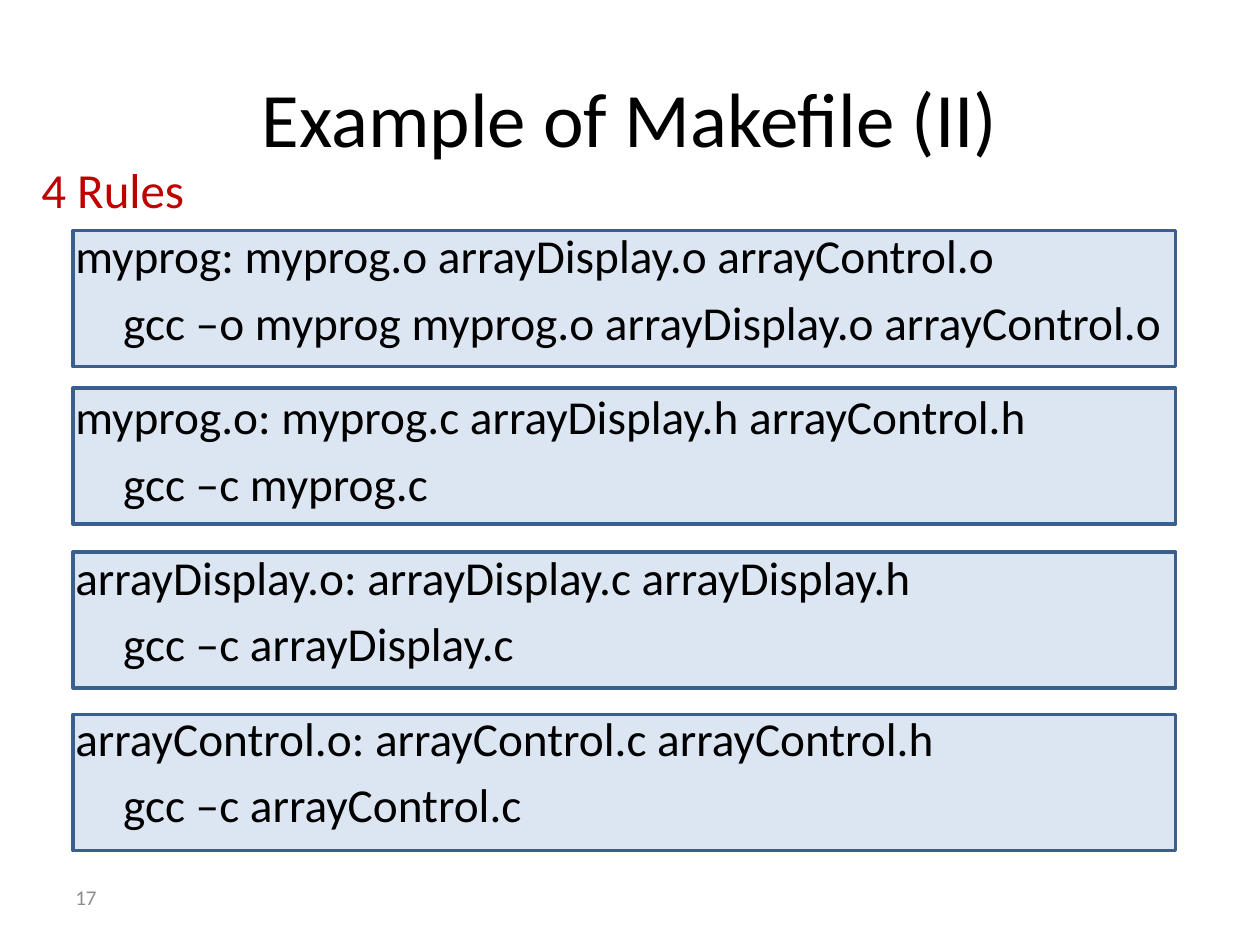
from dataclasses import dataclass

from lxml import etree
from pptx import Presentation
from pptx.dml.color import RGBColor
from pptx.enum.shapes import MSO_SHAPE
from pptx.enum.text import MSO_ANCHOR, PP_ALIGN
from pptx.oxml.ns import qn
from pptx.slide import Slide
from pptx.text.text import TextFrame
from pptx.util import Inches, Pt


@dataclass(frozen=True)
class Theme:
    """Font, colours and type sizes."""
    font: str = "Calibri"
    ink: str = "000000"
    accent: str = "C00000"
    muted: str = "8C8C8C"
    panel: str = "DCE6F2"
    border: str = "3A5F8C"
    title: int = 44
    heading: int = 28
    code: int = 27
    number: int = 12


@dataclass(frozen=True)
class Rule:
    """A makefile rule and the top of its panel in inches."""
    top: float
    target: str
    command: str


THEME = Theme()
RULES = [
    Rule(1.83, "myprog: myprog.o arrayDisplay.o arrayControl.o",
         "gcc –o myprog myprog.o arrayDisplay.o arrayControl.o"),
    Rule(3.08, "myprog.o: myprog.c arrayDisplay.h arrayControl.h",
         "gcc –c myprog.c"),
    Rule(4.38, "arrayDisplay.o: arrayDisplay.c arrayDisplay.h",
         "gcc –c arrayDisplay.c"),
    Rule(5.67, "arrayControl.o: arrayControl.c arrayControl.h",
         "gcc –c arrayControl.c"),
]


def add_panel(slide: Slide, top: float) -> None:
    """Draw the tinted panel behind one rule."""
    panel = slide.shapes.add_shape(MSO_SHAPE.RECTANGLE, Inches(0.58),
                                   Inches(top), Inches(8.75), Inches(1.08))
    panel.shadow.inherit = False
    panel.fill.solid()
    panel.fill.fore_color.rgb = RGBColor.from_string(THEME.panel)
    panel.line.color.rgb = RGBColor.from_string(THEME.border)
    panel.line.width = Pt(2)


def add_text(slide: Slide, box: tuple[float, float, float, float],
             lines: list[str], size: int, color: str,
             anchor: MSO_ANCHOR = MSO_ANCHOR.TOP,
             align: PP_ALIGN = PP_ALIGN.LEFT) -> TextFrame:
    """Add a wrapped text box with one paragraph per line."""
    left, top, width, height = map(Inches, box)
    frame = slide.shapes.add_textbox(left, top, width, height).text_frame
    frame.word_wrap = True
    frame.vertical_anchor = anchor
    for index, line in enumerate(lines):
        paragraph = frame.paragraphs[0] if index == 0 else frame.add_paragraph()
        paragraph.alignment = align
        run = paragraph.add_run()
        run.text = line
        run.font.name = THEME.font
        run.font.size = Pt(size)
        run.font.color.rgb = RGBColor.from_string(color)
    return frame


def add_rules(slide: Slide, rules: list[Rule]) -> None:
    """Write all rules in one box, with each command indented by a tab."""
    lines = [line for rule in rules for line in (rule.target, "\t" + rule.command)]
    frame = add_text(slide, (0.5, 1.75, 9, 4.95), lines, THEME.code, THEME.ink)
    for index, paragraph in enumerate(frame.paragraphs):
        starts_later_rule = index > 0 and index % 2 == 0
        paragraph.line_spacing = 1.5 if starts_later_rule else 1.0
        properties = paragraph._p.get_or_add_pPr()
        properties.set("marL", str(Inches(0.38)))
        properties.set("indent", str(-Inches(0.38)))
        before = etree.SubElement(properties, qn("a:spcBef"))
        etree.SubElement(before, qn("a:spcPct")).set("val", "20000")


def main() -> None:
    """Build and save the slide."""
    deck = Presentation()
    deck.slide_width, deck.slide_height = Inches(10), Inches(7.5)
    slide = deck.slides.add_slide(deck.slide_layouts[6])
    for rule in RULES:
        add_panel(slide, rule.top)
    add_text(slide, (0.5, 0.3, 9, 1.25), ["Example of Makefile (II)"],
             THEME.title, THEME.ink, MSO_ANCHOR.MIDDLE, PP_ALIGN.CENTER)
    add_rules(slide, RULES)
    add_text(slide, (0.5, 6.92, 2.33, 0.4), ["17"],
             THEME.number, THEME.muted, MSO_ANCHOR.MIDDLE)
    add_text(slide, (0.23, 1.22, 1.58, 0.57), ["4 Rules"],
             THEME.heading, THEME.accent)
    deck.save("out.pptx")


main()
